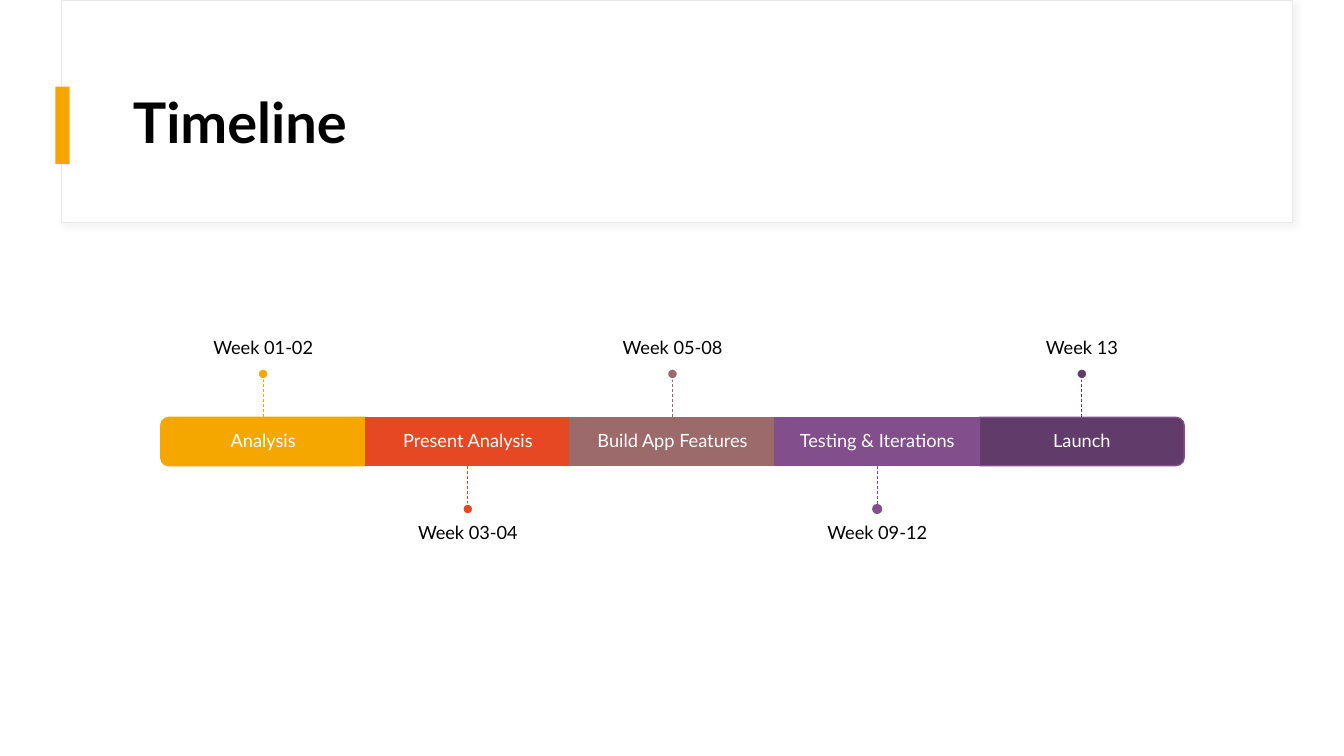
from dataclasses import dataclass

from lxml.etree import SubElement
from pptx import Presentation
from pptx.dml.color import RGBColor
from pptx.enum.dml import MSO_LINE
from pptx.enum.shapes import MSO_CONNECTOR, MSO_SHAPE
from pptx.enum.text import MSO_ANCHOR, PP_ALIGN
from pptx.oxml.ns import qn
from pptx.util import Inches, Pt


@dataclass(frozen=True)
class Theme:
    font: str = "Lato"
    title_size: float = 40
    body_size: float = 13
    black: str = "000000"
    white: str = "FFFFFF"
    frame: str = "E9E9E9"
    shadow: str = "D9D9D9"
    amber: str = "F5A700"
    orange: str = "E64823"
    rose: str = "9C6A6A"
    violet: str = "824F8C"
    plum: str = "613B69"


THEME = Theme()

# Label, period, fill, segment outline, dot outline
STEPS = [
    ("Analysis", "Week 01-02", THEME.amber, THEME.amber, THEME.white),
    ("Present Analysis", "Week 03-04", THEME.orange, THEME.orange, THEME.white),
    ("Build App Features", "Week 05-08", THEME.rose, THEME.rose, THEME.white),
    ("Testing & Iterations", "Week 09-12", THEME.violet, THEME.violet, None),
    ("Launch", "Week 13", THEME.plum, THEME.violet, THEME.white),
]
FIRST_CENTER = 2.61
STEP_WIDTH = 2.03
BAR_TOP, BAR_HEIGHT = 4.14, 0.48
BAR_BOTTOM = BAR_TOP + BAR_HEIGHT
STEM, DOT = 0.38, 0.1
WEEK_WIDTH, WEEK_HEIGHT = 3.38, 1.67
WEEK_ABOVE_TOP, WEEK_BELOW_TOP = 2, 5.09
PADDING = 0.11


def set_values(target, values):
    for name, value in values.items():
        setattr(target, name, value)


def add_block(slide, kind, position, fill, outline=None, width=1):
    block = slide.shapes.add_shape(kind, *map(Inches, position))
    block.shadow.inherit = False
    block.fill.solid()
    block.fill.fore_color.rgb = RGBColor.from_string(fill)
    if outline:
        block.line.color.rgb = RGBColor.from_string(outline)
        block.line.width = Pt(width)
    else:
        block.line.fill.background()
    return block


def add_text(slide, text, position, color, frame_values, align=PP_ALIGN.CENTER,
             size=THEME.body_size, bold=False):
    box = slide.shapes.add_textbox(*map(Inches, position))
    set_values(box.text_frame, {"word_wrap": True, **frame_values})
    para = box.text_frame.paragraphs[0]
    set_values(para, {"alignment": align, "line_spacing": 0.9})
    span = para.add_run()
    span.text = text
    set_values(span.font, {"name": THEME.font, "size": Pt(size), "bold": bold})
    span.font.color.rgb = RGBColor.from_string(color)


def add_soft_shadow(block):
    effects = block._element.spPr.find(qn("a:effectLst"))
    shadow = SubElement(effects, qn("a:outerShdw"), blurRad=str(Pt(4)),
                        dist=str(Pt(3)), dir=str(45 * 60000), rotWithShape="0")
    color = SubElement(shadow, qn("a:srgbClr"), val=THEME.shadow)
    SubElement(color, qn("a:alpha"), val="30000")


def add_stem(slide, center, start, end, color):
    stem = slide.shapes.add_connector(
        MSO_CONNECTOR.STRAIGHT, *map(Inches, (center, start, center, end)))
    stem.line.color.rgb = RGBColor.from_string(color)
    set_values(stem.line, {"width": Pt(0.5), "dash_style": MSO_LINE.DASH})
    SubElement(stem._element.spPr, qn("a:effectLst"))
    return stem


def add_header(slide):
    frame = add_block(slide, MSO_SHAPE.RECTANGLE, (0.61, 0, 12.21, 2.21),
                      THEME.white, THEME.frame, 0.75)
    add_soft_shadow(frame)
    add_block(slide, MSO_SHAPE.RECTANGLE, (0.55, 0.86, 0.14, 0.77), THEME.amber)
    add_text(slide, "Timeline", (1.22, 0.6, 11.12, 1.29), THEME.black,
             {"vertical_anchor": MSO_ANCHOR.MIDDLE}, PP_ALIGN.LEFT,
             THEME.title_size, True)


def add_segment(slide, center, rotation, fill, outline):
    """Add a bar part; a rotation turns it into a rounded end of the bar."""
    if not rotation:
        position = (center - STEP_WIDTH / 2, BAR_TOP, STEP_WIDTH, BAR_HEIGHT)
        return add_block(slide, MSO_SHAPE.RECTANGLE, position, fill, outline)
    top = BAR_TOP + (BAR_HEIGHT - STEP_WIDTH) / 2
    position = (center - BAR_HEIGHT / 2, top, BAR_HEIGHT, STEP_WIDTH)
    end = add_block(slide, MSO_SHAPE.ROUND_2_SAME_RECTANGLE, position, fill, outline)
    end.rotation = rotation
    return end


def add_step(slide, index, step):
    label, period, fill, outline, dot_outline = step
    center = FIRST_CENTER + index * STEP_WIDTH
    rotation = {0: 270, len(STEPS) - 1: 90}.get(index, 0)
    segment = add_segment(slide, center, rotation, fill, outline)

    margins = ("margin_left", "margin_top", "margin_right", "margin_bottom")
    label_values = dict.fromkeys(margins, Inches(PADDING))
    add_text(slide, label, (center - STEP_WIDTH / 2, BAR_TOP, STEP_WIDTH, BAR_HEIGHT),
             THEME.white, {**label_values, "vertical_anchor": MSO_ANCHOR.MIDDLE})

    above = index % 2 == 0
    if above:
        bar_edge, stem_start, week_top = BAR_TOP, BAR_TOP - STEM, WEEK_ABOVE_TOP
        dot_top, side = stem_start - DOT, 0
        anchor, near_margin = MSO_ANCHOR.BOTTOM, "margin_bottom"
    else:
        bar_edge, stem_start, week_top = BAR_BOTTOM, BAR_BOTTOM + STEM, WEEK_BELOW_TOP
        dot_top, side = stem_start, 2
        anchor, near_margin = MSO_ANCHOR.TOP, "margin_top"

    week_values = {**dict.fromkeys(margins, 0), near_margin: Inches(PADDING)}
    add_text(slide, period, (center - WEEK_WIDTH / 2, week_top, WEEK_WIDTH, WEEK_HEIGHT),
             THEME.black, {**week_values, "vertical_anchor": anchor})
    stem = add_stem(slide, center, stem_start, bar_edge, fill)
    if not rotation:
        stem.end_connect(segment, side)
    add_block(slide, MSO_SHAPE.OVAL, (center - DOT / 2, dot_top, DOT, DOT),
              fill, dot_outline)


def main():
    deck = Presentation()
    set_values(deck, {"slide_width": Inches(13.33), "slide_height": Inches(7.5)})
    slide = deck.slides.add_slide(deck.slide_layouts[6])
    add_header(slide)
    for index, step in enumerate(STEPS):
        add_step(slide, index, step)
    deck.save("out.pptx")


if __name__ == "__main__":
    main()
